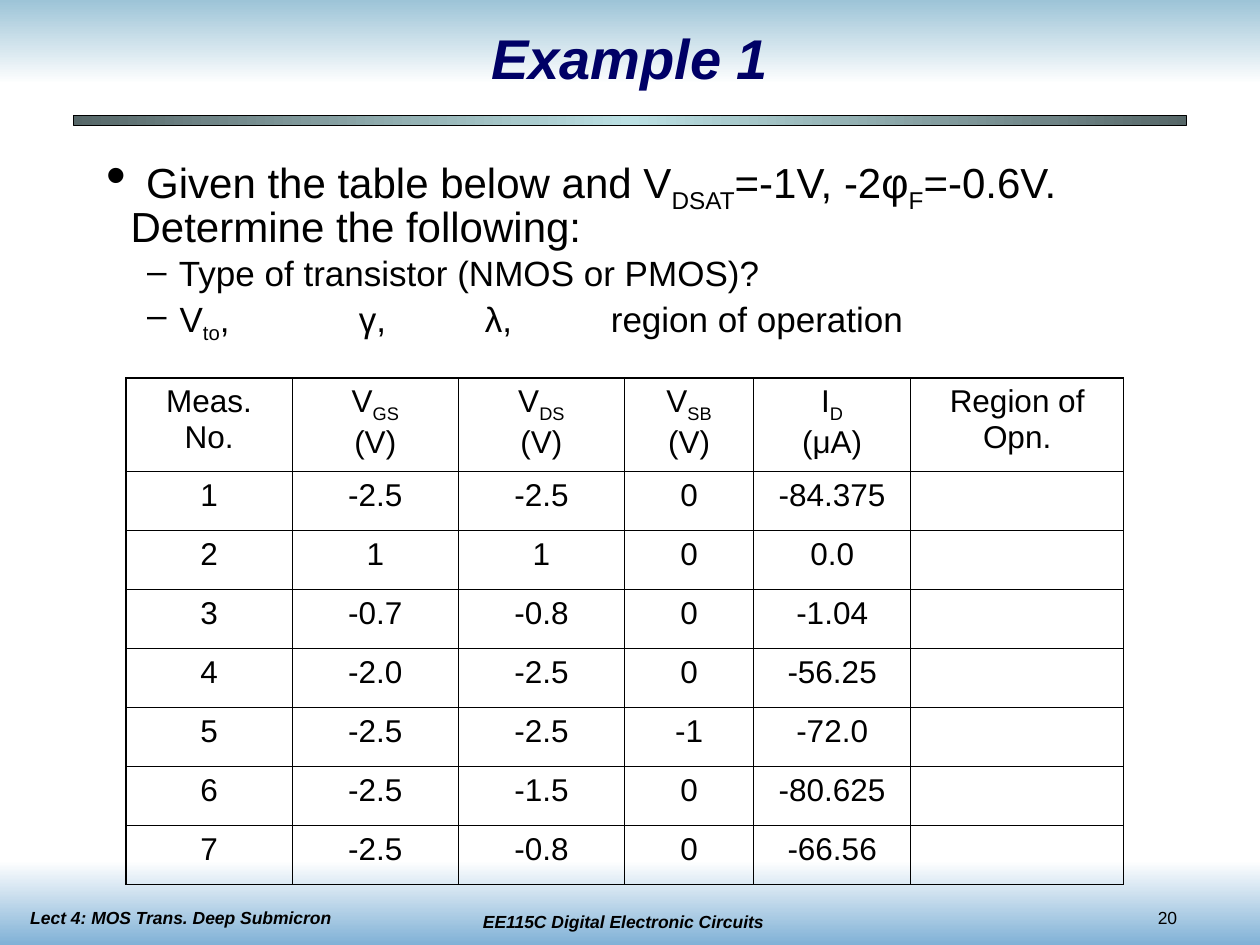
from pptx import Presentation
from pptx.dml.color import RGBColor
from pptx.enum.shapes import MSO_SHAPE
from pptx.enum.text import MSO_ANCHOR, MSO_AUTO_SIZE, PP_ALIGN
from pptx.oxml.ns import qn
from pptx.util import Cm, Pt
from lxml.etree import SubElement
from copy import deepcopy

BLACK = "000000"
HEADERS = ["Meas.\nNo.", "V|GS|\n(V)", "V|DS|\n(V)", "V|SB|\n(V)", "I|D|\n(μA)", "Region of Opn."]
MEASUREMENTS = [
    ["1", "-2.5", "-2.5", "0", "-84.375", ""],
    ["2", "1", "1", "0", "0.0", ""],
    ["3", "-0.7", "-0.8", "0", "-1.04", ""],
    ["4", "-2.0", "-2.5", "0", "-56.25", ""],
    ["5", "-2.5", "-2.5", "-1", "-72.0", ""],
    ["6", "-2.5", "-1.5", "0", "-80.625", ""],
    ["7", "-2.5", "-0.8", "0", "-66.56", ""],
]
COL_WIDTHS = [3.35, 3.35, 3.35, 2.6, 3.17, 4.29]
ROW_HEIGHTS = [1.88] + [1.19] * 7


def color(value):
    return RGBColor.from_string(value)


def write(p, text, size=18, fill=BLACK, bold=False, italic=False, align=None):
    """Add text to a paragraph; parts between bars are subscripts."""
    if align is not None:
        p.alignment = align
    for i, part in enumerate(text.split("|")):
        if not part:
            continue
        r = p.add_run()
        r.text = part
        r.font.name = "Arial"
        r.font.size = Pt(size)
        r.font.bold = bold
        r.font.italic = italic
        r.font.color.rgb = color(fill)
        if i % 2:
            r.font._element.set("baseline", "-25000")


def place(sp, left, top, width, height):
    sp.left, sp.top, sp.width, sp.height = Cm(left), Cm(top), Cm(width), Cm(height)


def add_band(s, box, colors, angle, outlined=False):
    sp = s.shapes.add_shape(MSO_SHAPE.RECTANGLE, *map(Cm, box))
    sp.shadow.inherit = False
    sp.fill.gradient()
    sp.fill.gradient_angle = angle
    stops = sp.element.spPr.find(qn("a:gradFill")).find(qn("a:gsLst"))
    for _ in colors[2:]:
        stops.append(deepcopy(stops[-1]))
    for i, (stop, value) in enumerate(zip(sp.fill.gradient_stops, colors)):
        stop.position = i / (len(colors) - 1)
        stop.color.rgb = color(value)
    if outlined:
        sp.line.color.rgb = color(BLACK)
        sp.line.width = Pt(0.75)
    else:
        sp.line.fill.background()


def add_footer(s, box, text, wrap=True, **fmt):
    tf = s.shapes.add_textbox(*map(Cm, box)).text_frame
    tf.word_wrap = wrap
    write(tf.paragraphs[0], text, size=10, **fmt)


def format_bullet(p, char, margin, indent):
    pPr = p._p.get_or_add_pPr()
    pPr.set("marL", str(Cm(margin)))
    pPr.set("indent", str(Cm(indent)))
    SubElement(SubElement(pPr, qn("a:buClr")), qn("a:srgbClr")).set("val", BLACK)
    SubElement(pPr, qn("a:buChar")).set("char", char)
    tabs = SubElement(pPr, qn("a:tabLst"))
    for i in range(1, 9):
        tab = SubElement(tabs, qn("a:tab"))
        tab.set("pos", str(Cm(2.54 * i)))
        tab.set("algn", "l")


def add_title(s, text):
    sp = s.shapes.title
    place(sp, 1.9, 0.42, 21.6, 1.48)
    sp.text_frame.auto_size = MSO_AUTO_SIZE.NONE
    sp.text_frame.vertical_anchor = MSO_ANCHOR.MIDDLE
    write(sp.text_frame.paragraphs[0], text, size=32, fill="000066",
          bold=True, italic=True, align=PP_ALIGN.CENTER)
    s.shapes.element.append(sp.element)


def add_body(s, lead, items):
    sp = s.placeholders[1]
    place(sp, 1.9, 2.96, 21.6, 4.45)
    tf = sp.text_frame
    tf.auto_size = MSO_AUTO_SIZE.NONE
    p = tf.paragraphs[0]
    p.line_spacing = 0.8
    p.space_before = Pt(0)
    format_bullet(p, "•", 0.48, -0.48)
    write(p, " ", size=32)
    write(p, lead, size=24)
    for item in items:
        p = tf.add_paragraph()
        p.level = 1
        p.line_spacing = 0.8
        p.space_before = Pt(5)
        format_bullet(p, "–", 1.27, -0.46)
        write(p, item, size=20)
    s.shapes.element.append(sp.element)


def set_border(cell, side, width):
    ln = SubElement(cell._tc.get_or_add_tcPr(), qn(f"a:ln{side}"))
    ln.set("w", str(Pt(width)))
    SubElement(SubElement(ln, qn("a:solidFill")), qn("a:srgbClr")).set("val", BLACK)


def add_grid(s, left, top, rows):
    n_rows, n_cols = len(rows), len(COL_WIDTHS)
    table = s.shapes.add_table(n_rows, n_cols, Cm(left), Cm(top),
                               Cm(sum(COL_WIDTHS)), Cm(sum(ROW_HEIGHTS))).table
    table.first_row = table.horz_banding = False
    for col, width in zip(table.columns, COL_WIDTHS):
        col.width = Cm(width)
    for i, (row, height) in enumerate(zip(rows, ROW_HEIGHTS)):
        table.rows[i].height = Cm(height)
        for j, text in enumerate(row):
            cell = table.cell(i, j)
            outer = {"L": j == 0, "R": j == n_cols - 1, "T": i == 0, "B": i == n_rows - 1}
            for side, is_outer in outer.items():
                set_border(cell, side, 1.08 if is_outer else 0.45)
            cell.fill.background()
            for k, line in enumerate(text.split("\n")):
                p = cell.text_frame.paragraphs[0] if k == 0 else cell.text_frame.add_paragraph()
                write(p, line, align=PP_ALIGN.CENTER)


def main():
    prs = Presentation()
    prs.slide_width, prs.slide_height = Cm(25.4), Cm(19.05)
    s = prs.slides.add_slide(prs.slide_layouts[1])
    s.background.fill.solid()
    s.background.fill.fore_color.rgb = color("FFFFFF")

    add_band(s, (0, 0, 25.4, 1.7), ["9DC4D7", "FFFFFF"], 270)
    add_band(s, (0, 17.35, 25.4, 1.7), ["FFFFFF", "80B1D6"], 270)
    add_footer(s, (8.97, 18.24, 7.19, 0.69), "EE115C Digital Electronic Circuits",
               bold=True, italic=True, align=PP_ALIGN.CENTER)
    add_footer(s, (23.09, 18.16, 2.11, 0.69), "20", wrap=False)
    add_footer(s, (0.36, 18.16, 7.19, 0.69), "Lect 4: MOS Trans. Deep Submicron",
               bold=True, italic=True)
    add_band(s, (1.48, 2.33, 22.44, 0.2), ["566768", "BBE0E3", "566768"], 0, outlined=True)

    add_title(s, "Example 1")
    add_body(s, "Given the table below and V|DSAT|=-1V, -2φ|F|=-0.6V. Determine the following:",
             [" Type of transistor (NMOS or PMOS)?", " V|to|, \tγ, \tλ, \tregion of operation"])
    add_grid(s, 2.54, 7.62, [HEADERS] + MEASUREMENTS)
    prs.save("out.pptx")


if __name__ == "__main__":
    main()
